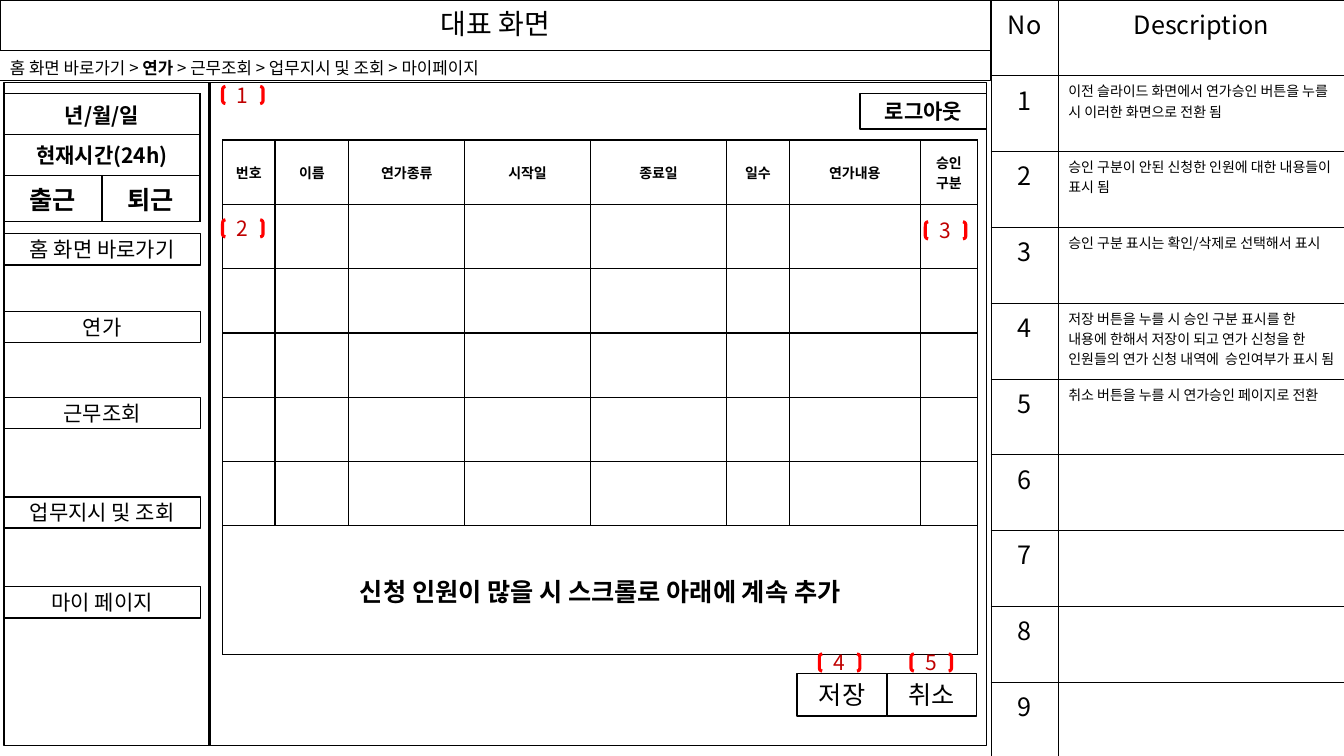
from dataclasses import dataclass

from lxml.etree import SubElement
from pptx import Presentation
from pptx.dml.color import RGBColor
from pptx.enum.shapes import MSO_CONNECTOR, MSO_SHAPE
from pptx.enum.text import MSO_ANCHOR, MSO_AUTO_SIZE, PP_ALIGN
from pptx.oxml.ns import qn
from pptx.util import Cm, Pt


@dataclass(frozen=True)
class Theme:
    font: str = "Noto Sans CJK KR"
    ink: RGBColor = RGBColor(0, 0, 0)
    paper: RGBColor = RGBColor(255, 255, 255)
    mark_line: RGBColor = RGBColor(255, 0, 0)
    mark_text: RGBColor = RGBColor(192, 0, 0)
    title: int = 20
    large: int = 18
    medium: int = 15
    path_text: int = 12
    small: int = 10


T = Theme()

MENU = [("홈 화면 바로가기", 5.89), ("연가", 7.85), ("근무조회", 10.01),
        ("업무지시 및 조회", 12.52), ("마이 페이지", 14.78)]
MARKS = [(5.61, 2.18), (5.61, 5.54), (23.32, 5.59), (20.65, 16.48), (22.96, 16.48)]
DESCRIPTIONS = [
    "이전 슬라이드 화면에서 연가승인 버튼을 누를 시 이러한 화면으로 전환 됨",
    "승인 구분이 안된 신청한 인원에 대한 내용들이 표시 됨",
    "승인 구분 표시는 확인/삭제로 선택해서 표시",
    "저장 버튼을 누를 시 승인 구분 표시를 한 내용에 한해서 저장이 되고 "
    "연가 신청을 한 인원들의 연가 신청 내역에  승인여부가 표시 됨",
    "취소 버튼을 누를 시 연가승인 페이지로 전환",
]
LEAVE_COLUMNS = [("번호", 1.32), ("이름", 1.86), ("연가종류", 2.92), ("시작일", 3.17),
                 ("종료일", 3.43), ("일수", 1.58), ("연가내용", 3.3), ("승인구분", 1.45)]


def add_run(p, text, size, color=T.ink, bold=False):
    r = p.add_run()
    r.text = text
    for name, value in {"name": T.font, "size": Pt(size), "bold": bold}.items():
        setattr(r.font, name, value)
    r.font.color.rgb = color
    SubElement(r.font._element, qn("a:ea"), typeface=T.font)


def write(tf, text, size, align=PP_ALIGN.CENTER, **fmt):
    p = tf.paragraphs[0]
    p.alignment = align
    add_run(p, text, size, **fmt)
    return p


def add_box(s, x, y, w, h, text="", size=T.medium, bold=False, line=1, filled=True):
    sp = s.shapes.add_shape(MSO_SHAPE.RECTANGLE, Cm(x), Cm(y), Cm(w), Cm(h))
    sp.shadow.inherit = False
    if filled:
        sp.fill.solid()
        sp.fill.fore_color.rgb = T.paper
    else:
        sp.fill.background()
    sp.line.color.rgb = T.ink
    sp.line.width = Pt(line)
    if text:
        sp.text_frame.vertical_anchor = MSO_ANCHOR.MIDDLE
        write(sp.text_frame, text, size, bold=bold)


def add_mark(s, number, x, y):
    """Add a numbered red bracket that refers to a description row."""
    sp = s.shapes.add_shape(MSO_SHAPE.DOUBLE_BRACKET, Cm(x), Cm(y), Cm(1.02), Cm(0.43))
    sp.shadow.inherit = False
    sp.fill.background()
    sp.line.color.rgb = T.mark_line
    sp.line.width = Pt(2.25)
    tf = sp.text_frame
    tf.vertical_anchor = MSO_ANCHOR.MIDDLE
    for side in ("left", "right", "top", "bottom"):
        setattr(tf, f"margin_{side}", 0)
    write(tf, str(number), T.medium, color=T.mark_text)


def style_cell(cell, line):
    tc_pr = cell._tc.get_or_add_tcPr()
    for side in ("lnL", "lnR", "lnT", "lnB"):
        ln = SubElement(tc_pr, qn(f"a:{side}"), w=str(Pt(line)))
        fill = SubElement(ln, qn("a:solidFill"))
        SubElement(fill, qn("a:srgbClr"), val=str(T.ink))
    cell.fill.background()


def add_grid(s, x, y, widths, heights, line):
    """Add an empty bordered table and return it."""
    table = s.shapes.add_table(len(heights), len(widths), Cm(x), Cm(y),
                               Cm(sum(widths)), Cm(sum(heights))).table
    table.first_row = table.horz_banding = False
    for column, w in zip(table.columns, widths):
        column.width = Cm(w)
    for row, h in zip(table.rows, heights):
        row.height = Cm(h)
    for cell in table.iter_cells():
        style_cell(cell, line)
    return table


def merge_row(table, row):
    cell = table.cell(row, 0)
    cell.merge(table.cell(row, len(table.columns) - 1))
    return cell


def add_title(s):
    sp = s.shapes.title
    for name, value in {"left": 0, "top": 0, "width": Cm(24.97), "height": Cm(1.27)}.items():
        setattr(sp, name, value)
    sp.line.color.rgb = T.ink
    sp.line.width = Pt(0.75)
    tf = sp.text_frame
    tf.auto_size = MSO_AUTO_SIZE.NONE
    tf.vertical_anchor = MSO_ANCHOR.MIDDLE
    write(tf, "대표 화면", T.title).line_spacing = 0.9


def add_descriptions(s):
    table = add_grid(s, 24.97, 0, [1.7, 7.21], [1.91] * 10, 0.5)
    for col, text in enumerate(("No", "Description")):
        write(table.cell(0, col).text_frame, text, T.large)
    for row in range(1, 10):
        write(table.cell(row, 0).text_frame, str(row), T.large)
    for row, text in enumerate(DESCRIPTIONS, 1):
        write(table.cell(row, 1).text_frame, text, T.small, PP_ALIGN.LEFT)


def add_clock(s):
    table = add_grid(s, 0.1, 2.36, [2.47, 2.47], [1.02, 1.04, 1.17], 1)
    for row, text in enumerate(("년/월/일", "현재시간(24h)")):
        write(merge_row(table, row).text_frame, text, T.medium, bold=True)
    for col, text in enumerate(("출근", "퇴근")):
        write(table.cell(2, col).text_frame, text, T.large, bold=True)


def add_leave_table(s):
    widths = [w for _, w in LEAVE_COLUMNS]
    table = add_grid(s, 5.61, 3.53, widths, [1.62] * 6 + [3.25], 1)
    for col, (text, _) in enumerate(LEAVE_COLUMNS):
        cell = table.cell(0, col)
        cell.vertical_anchor = MSO_ANCHOR.MIDDLE
        write(cell.text_frame, text, T.small, bold=True)
    note = merge_row(table, 6)
    note.vertical_anchor = MSO_ANCHOR.MIDDLE
    write(note.text_frame, "신청 인원이 많을 시 스크롤로 아래에 계속 추가", T.large, bold=True)


def add_breadcrumb(s):
    add_box(s, 0, 1.27, 24.97, 0.76, line=0.75, filled=False)
    tf = s.shapes.add_textbox(0, Cm(1.32), Cm(15.6), Cm(0.76)).text_frame
    tf.word_wrap = True
    p = write(tf, "홈 화면 바로가기 > ", T.path_text, PP_ALIGN.LEFT)
    add_run(p, "연가 ", T.path_text, bold=True)
    add_run(p, "> 근무조회 > 업무지시 및 조회 > 마이페이지", T.path_text)


def add_divider(s):
    line = s.shapes.add_connector(MSO_CONNECTOR.STRAIGHT, Cm(5.28), Cm(2.06),
                                  Cm(5.28), Cm(18.77))
    line.line.color.rgb = T.ink
    line.line.width = Pt(1.5)
    SubElement(line._element.spPr, qn("a:effectLst"))


def main():
    prs = Presentation()
    prs.slide_width, prs.slide_height = Cm(33.87), Cm(19.05)
    s = prs.slides.add_slide(prs.slide_layouts[5])
    add_box(s, 0.1, 2.08, 24.77, 16.71)
    add_title(s)
    add_descriptions(s)
    add_breadcrumb(s)
    add_clock(s)
    for text, y in MENU:
        add_box(s, 0.1, y, 4.95, 0.79, text)
    add_box(s, 21.67, 2.36, 3.2, 0.89, "로그아웃", bold=True)
    add_leave_table(s)
    for i, text in enumerate(("저장", "취소")):
        add_box(s, 20.09 + 2.26 * i, 16.97, 2.26, 1.07, text, T.large)
    for number, (x, y) in enumerate(MARKS, 1):
        add_mark(s, number, x, y)
    add_divider(s)
    prs.save("out.pptx")


if __name__ == "__main__":
    main()
